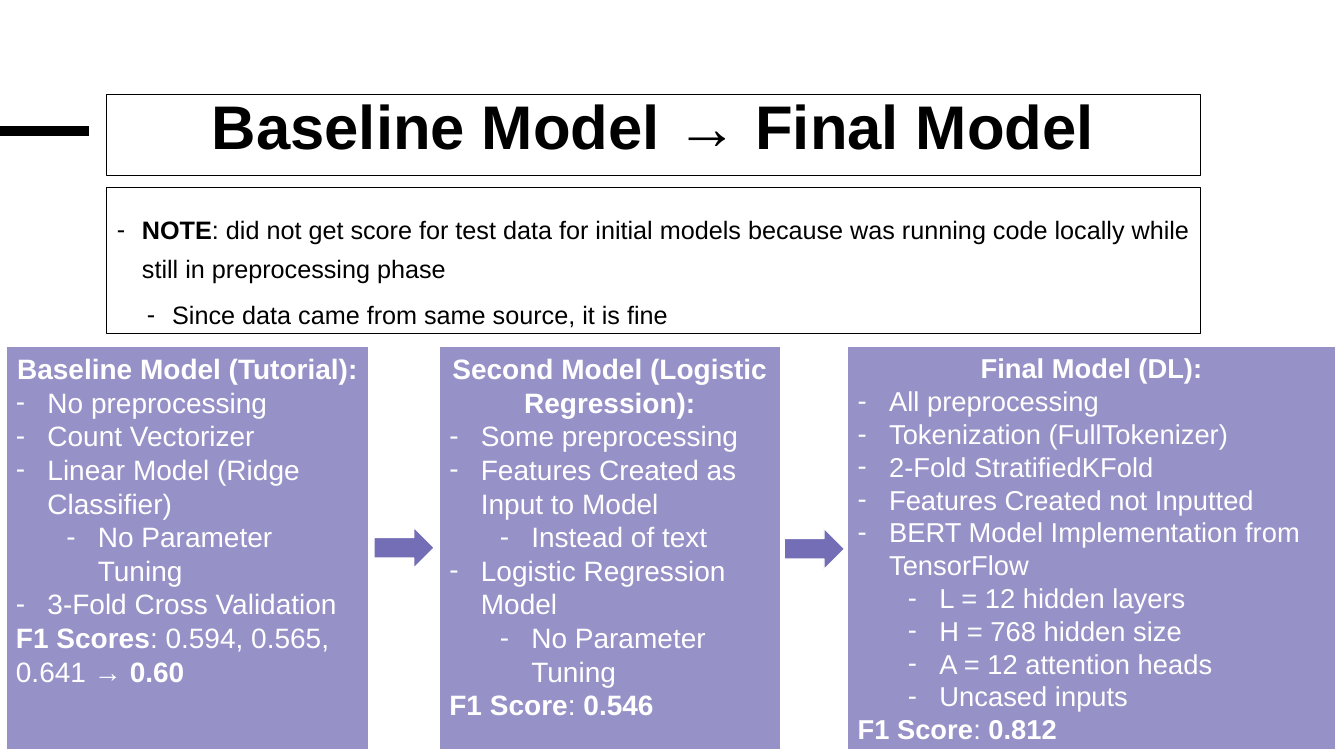
from dataclasses import dataclass

import pptx
import pptx.dml.color
import pptx.enum.shapes
import pptx.enum.text
import pptx.oxml.ns
import pptx.util
from lxml import etree

Pt = pptx.util.Pt
qn = pptx.oxml.ns.qn
SHAPES = pptx.enum.shapes.MSO_SHAPE
ALIGN = pptx.enum.text.PP_ALIGN
ANCHOR = pptx.enum.text.MSO_ANCHOR

BLACK, WHITE, PURPLE = "000000", "FFFFFF", "736EB6"
FONT = "Arial"
PANEL_TOP, PANEL_HEIGHT = 247.68, 288
HANGING = 22.5
SUBITEM_INDENT = 36


@dataclass
class Panel:
    left: float
    width: float
    size: float
    heading: str
    items: list[tuple[int, str]]
    score: list[tuple[str, bool]]


@dataclass
class Arrow:
    left: float
    top: float


PANELS = [
    Panel(4.32, 259.2, 20, "Baseline Model (Tutorial):",
          [(0, "No preprocessing"), (0, "Count Vectorizer"),
           (0, "Linear Model (Ridge Classifier)"), (1, "No Parameter Tuning"),
           (0, "3-Fold Cross Validation")],
          [("F1 Scores", True), (": 0.594, 0.565, 0.641 → ", False), ("0.60", True)]),
    Panel(313.92, 243.36, 20, "Second Model (Logistic Regression):",
          [(0, "Some preprocessing"), (0, "Features Created as Input to Model"),
           (1, "Instead of text"), (0, "Logistic Regression Model"),
           (1, "No Parameter Tuning")],
          [("F1 Score", True), (": ", False), ("0.546", True)]),
    Panel(605.52, 348.48, 19.5, "Final Model (DL):",
          [(0, "All preprocessing"), (0, "Tokenization (FullTokenizer)"),
           (0, "2-Fold StratifiedKFold"), (0, "Features Created not Inputted"),
           (0, "BERT Model Implementation from TensorFlow"),
           (1, "L = 12 hidden layers"), (1, "H = 768 hidden size"),
           (1, "A = 12 attention heads"), (1, "Uncased inputs")],
          [("F1 Score", True), (": ", False), ("0.812", True)]),
]
ARROWS = [Arrow(267.12, 376.56), Arrow(560.16, 377.28)]


def color(value: str):
    return pptx.dml.color.RGBColor.from_string(value)


def add_block(slide, kind, left: float, top: float, width: float, height: float, *,
              fill: str, line: str, line_width: float = 0.75, opacity: int = 100):
    """Draw a filled, outlined shape whose text starts at the top."""
    shape = slide.shapes.add_shape(kind, Pt(left), Pt(top), Pt(width), Pt(height))
    shape.shadow.inherit = False
    shape.fill.solid()
    shape.fill.fore_color.rgb = color(fill)
    if opacity < 100:
        fill_color = shape.fill._xPr.find(qn("a:solidFill"))[0]
        etree.SubElement(fill_color, qn("a:alpha"), val=str(opacity * 1000))
    shape.line.color.rgb = color(line)
    shape.line.width = Pt(line_width)
    shape.text_frame.word_wrap = True
    shape.text_frame.vertical_anchor = ANCHOR.TOP
    return shape


def add_text(shape, runs: list[tuple[str, bool]], *, size: float, ink: str,
             align=ALIGN.LEFT, level: int = 0, indent: float = 0, hanging: float = 0,
             line_spacing: float = 1.0, space_before: float = 0) -> None:
    """Append a paragraph of (text, bold) runs; a hanging indent gets a dash."""
    frame = shape.text_frame
    first = frame.paragraphs[0]
    paragraph = frame.add_paragraph() if first.runs else first
    paragraph.alignment = align
    paragraph.level = level
    paragraph.line_spacing = line_spacing
    paragraph.space_before = Pt(space_before)
    if hanging:
        properties = paragraph._p.get_or_add_pPr()
        properties.set("marL", str(int(Pt(indent))))
        properties.set("indent", str(-int(Pt(hanging))))
        etree.SubElement(properties, qn("a:buFont"), typeface=FONT)
        etree.SubElement(properties, qn("a:buChar"), char="-")
    for text, bold in runs:
        run = paragraph.add_run()
        run.text = text
        run.font.name = FONT
        run.font.size = Pt(size)
        run.font.bold = bold
        run.font.color.rgb = color(ink)


def add_accent_line(slide) -> None:
    line = slide.shapes.add_connector(
        pptx.enum.shapes.MSO_CONNECTOR.STRAIGHT, Pt(0), Pt(93.6), Pt(63.36), Pt(93.6))
    line.line.color.rgb = color(BLACK)
    line.line.width = Pt(6.75)
    etree.SubElement(line._element.spPr, qn("a:effectLst"))


def add_title(slide) -> None:
    title = add_block(slide, SHAPES.RECTANGLE, 76.32, 67.68, 781.2, 57.6,
                      fill=WHITE, line=BLACK, opacity=60)
    add_text(title, [("Baseline Model → Final Model", True)], size=44, ink=BLACK,
             align=ALIGN.CENTER, line_spacing=0.85)


def add_note(slide) -> None:
    note = add_block(slide, SHAPES.RECTANGLE, 76.32, 133.92, 781.2, 104.4,
                     fill=WHITE, line=BLACK, opacity=60)
    note.text_frame.vertical_anchor = ANCHOR.MIDDLE
    note.text_frame.margin_top = Pt(13.6)
    add_text(note, [("NOTE", True),
                    (": did not get score for test data for initial models because was "
                     "running code locally while still in preprocessing phase", False)],
             size=18, ink=BLACK, indent=18, hanging=18, line_spacing=1.3)
    add_text(note, [("Since data came from same source, it is fine", False)],
             size=18, ink=BLACK, level=1, indent=39.6, hanging=18,
             line_spacing=1.3, space_before=5)


def add_panel(slide, panel: Panel) -> None:
    shape = add_block(slide, SHAPES.RECTANGLE, panel.left, PANEL_TOP, panel.width,
                      PANEL_HEIGHT, fill=PURPLE, line=WHITE, opacity=75)
    add_text(shape, [(panel.heading, True)], size=panel.size, ink=WHITE,
             align=ALIGN.CENTER)
    for level, item in panel.items:
        add_text(shape, [(item, False)], size=panel.size, ink=WHITE, level=level,
                 indent=HANGING + level * SUBITEM_INDENT, hanging=HANGING)
    add_text(shape, panel.score, size=panel.size, ink=WHITE)


def main() -> None:
    presentation = pptx.Presentation()
    presentation.slide_width = Pt(960)
    presentation.slide_height = Pt(540)
    slide = presentation.slides.add_slide(presentation.slide_layouts[6])
    add_accent_line(slide)
    add_title(slide)
    add_note(slide)
    for panel in PANELS:
        add_panel(slide, panel)
    for arrow in ARROWS:
        add_block(slide, SHAPES.RIGHT_ARROW, arrow.left, arrow.top, 43.2, 29.52,
                  fill=PURPLE, line=WHITE, line_width=1)
    presentation.save("out.pptx")


if __name__ == "__main__":
    main()
